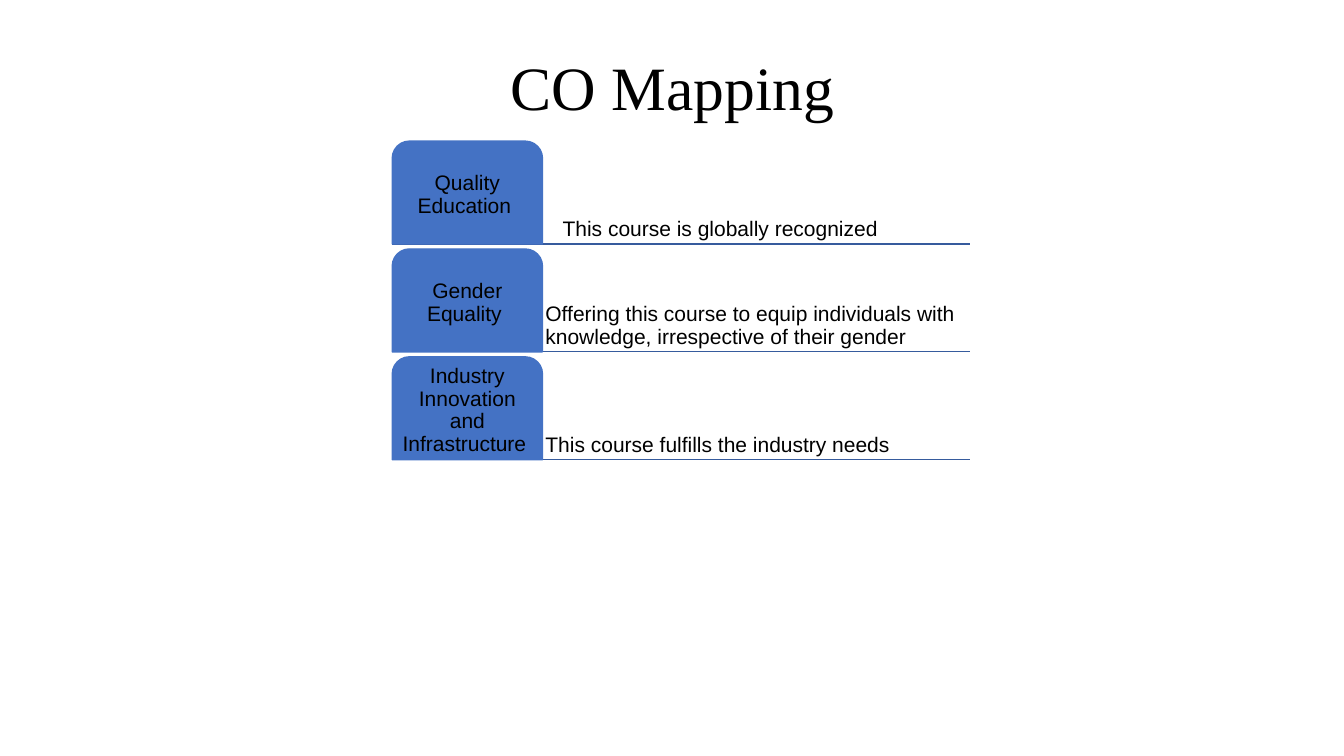
from lxml import etree
from pptx import Presentation
from pptx.dml.color import RGBColor
from pptx.enum.shapes import MSO_CONNECTOR, MSO_SHAPE
from pptx.enum.text import MSO_ANCHOR, PP_ALIGN
from pptx.oxml.ns import qn
from pptx.util import Inches, Pt

# Content: goal, how the course meets it, indent of the statement in inches
TITLE = "CO Mapping"
GOALS = [
    ("Quality Education ", "This course is globally recognized", 0.17),
    ("Gender Equality ", "Offering this course to equip individuals with "
     "knowledge, irrespective of their gender", 0),
    ("Industry Innovation and Infrastructure ",
     "This course fulfills the industry needs", 0),
]
COLORS = {"text": "000000", "tab": "4472C4", "rule": "365B9D"}

# Layout in inches
LEFT, TOP = 3.89, 1.4
TAB_WIDTH, STATEMENT_WIDTH = 1.49, 4.24
ROW_HEIGHT, ROW_STEP = 1.02, 1.07
INSET = 0.03


def color(name):
    return RGBColor.from_string(COLORS[name])


def write(frame, text, size, font, align, anchor):
    frame.word_wrap = True
    frame.vertical_anchor = anchor
    paragraph = frame.paragraphs[0]
    paragraph.alignment = align
    paragraph.line_spacing = 0.9
    run = paragraph.add_run()
    run.text = text
    run.font.size = Pt(size)
    run.font.name = font
    run.font.color.rgb = color("text")


def write_row_text(frame, text, align, anchor, indent=0):
    frame.margin_left = Inches(INSET + indent)
    frame.margin_right = frame.margin_top = frame.margin_bottom = Inches(INSET)
    write(frame, text, 15, "Arial", align, anchor)


def add_rule(slide, y):
    rule = slide.shapes.add_connector(
        MSO_CONNECTOR.STRAIGHT, Inches(LEFT), Inches(y),
        Inches(LEFT + TAB_WIDTH + STATEMENT_WIDTH), Inches(y))
    rule.line.color.rgb = color("rule")
    rule.line.width = Pt(1)
    etree.SubElement(rule._element.spPr, qn("a:effectLst"))


def add_tab(slide, y, goal):
    tab = slide.shapes.add_shape(
        MSO_SHAPE.ROUND_2_SAME_RECTANGLE, Inches(LEFT), Inches(y),
        Inches(TAB_WIDTH), Inches(ROW_HEIGHT))
    tab.adjustments[0] = 0.167
    tab.shadow.inherit = False
    tab.fill.solid()
    tab.fill.fore_color.rgb = color("tab")
    tab.line.color.rgb = color("tab")
    tab.line.width = Pt(1)
    write_row_text(tab.text_frame, goal, PP_ALIGN.CENTER, MSO_ANCHOR.MIDDLE)


def add_statement(slide, y, statement, indent):
    box = slide.shapes.add_textbox(
        Inches(LEFT + TAB_WIDTH), Inches(y),
        Inches(STATEMENT_WIDTH), Inches(ROW_HEIGHT))
    write_row_text(box.text_frame, statement, PP_ALIGN.LEFT,
                   MSO_ANCHOR.BOTTOM, indent)


presentation = Presentation()
presentation.slide_width = Inches(13.33)
presentation.slide_height = Inches(7.5)
slide = presentation.slides.add_slide(presentation.slide_layouts[5])

# Title
title = slide.shapes.title
title.left, title.top = Inches(0.92), Inches(0.4)
title.width, title.height = Inches(11.5), Inches(1)
write(title.text_frame, TITLE, 44, "Times New Roman",
      PP_ALIGN.CENTER, MSO_ANCHOR.MIDDLE)

# One row per goal: rule, tab and statement
for index, (goal, statement, indent) in enumerate(GOALS):
    y = TOP + index * ROW_STEP
    add_rule(slide, y + ROW_HEIGHT)
    add_statement(slide, y, statement, indent)
    add_tab(slide, y, goal)

presentation.save("out.pptx")
